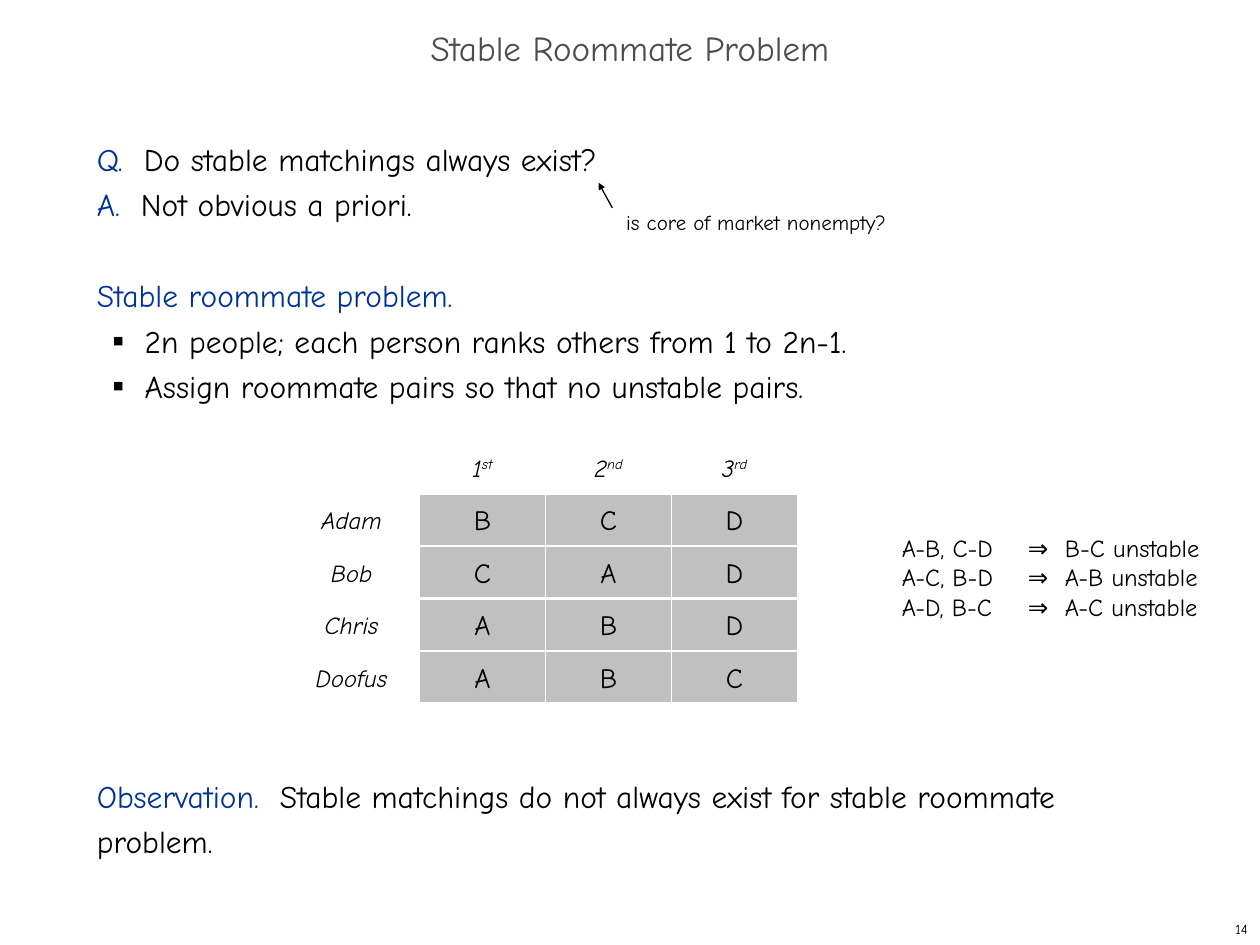
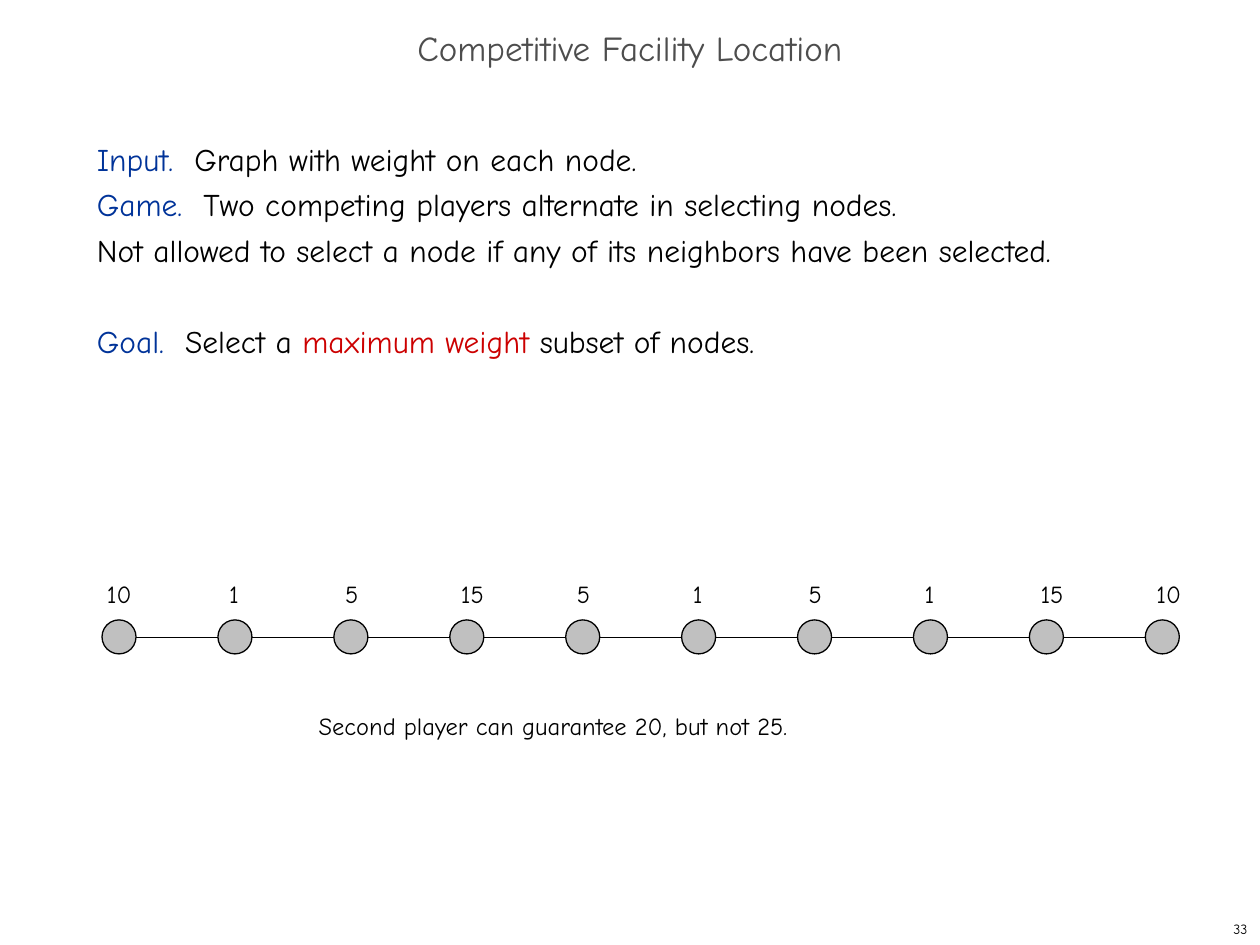
from lxml import etree
from pptx import Presentation
from pptx.dml.color import RGBColor
from pptx.enum.shapes import MSO_CONNECTOR, MSO_SHAPE
from pptx.enum.text import MSO_ANCHOR, MSO_AUTO_SIZE, PP_ALIGN
from pptx.oxml.ns import qn
from pptx.util import Inches, Pt

LEFT, MID, RIGHT = PP_ALIGN.LEFT, PP_ALIGN.CENTER, PP_ALIGN.RIGHT
TOP, CENTER = MSO_ANCHOR.TOP, MSO_ANCHOR.MIDDLE
FIXED = MSO_AUTO_SIZE.NONE
OVAL, RECT = MSO_SHAPE.OVAL, MSO_SHAPE.RECTANGLE
STRAIGHT = MSO_CONNECTOR.STRAIGHT

FONT = "Comic Neue"
BLACK, WHITE, GRAY, SLATE = "000000", "FFFFFF", "C0C0C0", "4D4D4D"
BLUE, RED = "003399", "CC0000"
LEAD = 26

RANKS = [("1", "st"), ("2", "nd"), ("3", "rd")]
PREFS = [("Adam", "BCD"), ("Bob", "CAD"), ("Chris", "ABD"), ("Doofus", "ABC")]
CASES = ("A-B, C-D\t⇒  B-C unstable\n"
         "A-C, B-D\t⇒  A-B unstable\n"
         "A-D, B-C\t⇒  A-C unstable")
WEIGHTS = [10, 1, 5, 15, 5, 1, 5, 1, 15, 10]


def color(code):
    """Turn a hex string into a colour."""
    return RGBColor.from_string(code)


def node(parent, tag, **attrs):
    """Append a drawing element with its attributes."""
    return etree.SubElement(parent, qn(tag), attrs)


def write(para, parts, size, align=LEFT, italic=False):
    """Fill a paragraph with runs, each a string or a (text, colour) pair."""
    para.alignment = align
    font = para.font
    font.name, font.size, font.italic = FONT, Pt(size), italic
    font.color.rgb = color(BLACK)
    for part in parts:
        text, hue = (part, BLACK) if isinstance(part, str) else part
        for i, line in enumerate(text.split("\n")):
            if i:
                para.add_line_break()
            run = para.add_run()
            run.text = line
            run.font.color.rgb = color(hue)


def bullet(para):
    """Give a paragraph a small square bullet and a hanging indent."""
    props = para._p.get_or_add_pPr()
    props.set("marL", str(Inches(0.38)))
    props.set("indent", str(Inches(-0.25)))
    node(node(props, "a:buClr"), "a:srgbClr", val=BLACK)
    node(props, "a:buSzPct", val="35000")
    node(props, "a:buFont", typeface=FONT)
    node(props, "a:buChar", char="■")


def frame(slide, left, top, width, height, anchor=TOP):
    """Add an empty wrapping text box and return its text frame."""
    box = slide.shapes.add_textbox(*map(Inches, (left, top, width, height)))
    text = box.text_frame
    text.word_wrap = True
    text.vertical_anchor = anchor
    return text


def label(slide, spot, words, size, align=LEFT, anchor=TOP):
    """Add plain text at a spot."""
    text = frame(slide, *spot, anchor=anchor)
    write(text.paragraphs[0], [words], size, align)
    return text


def body(slide, rows):
    """Add body text from rows of (parts, bulleted, lines of space before)."""
    text = frame(slide, 0.67, 1, 8.58, 5.92)
    for i, (parts, dot, gap) in enumerate(rows):
        para = text.add_paragraph() if i else text.paragraphs[0]
        para.line_spacing = Pt(LEAD)
        para.space_before = Pt(gap * LEAD)
        if dot:
            bullet(para)
        write(para, parts, 18)


def start(deck, title, page):
    """Add a slide with its title and page number."""
    slide = deck.slides.add_slide(deck.slide_layouts[5])
    head = slide.shapes.title
    head.left, head.top = Inches(0), Inches(0.17)
    head.width, head.height = Inches(10), Inches(0.5)
    text = head.text_frame
    text.auto_size = FIXED
    text.vertical_anchor = CENTER
    para = text.paragraphs[0]
    para.line_spacing = 0.7
    write(para, [(title, SLATE)], 20, MID)
    label(slide, (7.92, 7.25, 2.08, 0.25), str(page), 8, RIGHT, CENTER)
    return slide


def link(slide, x1, y1, x2, y2, arrow=False):
    """Draw a thin black line, with an arrowhead at its end if asked."""
    line = slide.shapes.add_connector(
        STRAIGHT, *map(Inches, (x1, y1, x2, y2)))
    line.line.color.rgb = color(BLACK)
    line.line.width = Pt(0.75)
    if arrow:
        node(line.line._get_or_add_ln(), "a:tailEnd",
             type="triangle", w="sm", len="sm")
    node(line._element.spPr, "a:effectLst")


def shape(slide, kind, spot, fill, edge):
    """Add a thinly outlined shape, hollow when fill is None."""
    form = slide.shapes.add_shape(kind, *map(Inches, spot))
    form.shadow.inherit = False
    if fill:
        form.fill.solid()
        form.fill.fore_color.rgb = color(fill)
    else:
        form.fill.background()
    form.line.color.rgb = color(edge)
    form.line.width = Pt(0.75)
    return form


def tile(slide, spot, word, size, fill=None, italic=False):
    """Add a white-edged box with a centred word."""
    text = shape(slide, RECT, spot, fill, WHITE).text_frame
    text.word_wrap = False
    text.vertical_anchor = CENTER
    write(text.paragraphs[0], [word], size, MID, italic)


def prefs(slide):
    """Lay out the grid of roommate preferences."""
    left, top, step, high = 3.33, 3.92, 1.25 / 3, 0.41
    for r, (name, picks) in enumerate(PREFS):
        y = top + r * step
        tile(slide, (2.25, y, 1.08, high), name, 14, italic=True)
        for c, pick in enumerate(picks):
            tile(slide, (left + c, y, 1, high), pick, 16, GRAY)
    for c, rank in enumerate(RANKS):
        text = frame(slide, left + c, 3.5, 1, 0.42, CENTER)
        para = text.paragraphs[0]
        write(para, rank, 14, MID, True)
        para.runs[1]._r.get_or_add_rPr().set("baseline", "30000")


def chain(slide):
    """Draw the row of weighted nodes joined by lines."""
    size, step, top, mid = 0.27, 0.92, 4.92, 5.06
    for i, weight in enumerate(WEIGHTS):
        x = 0.81 + i * step
        shape(slide, OVAL, (x, top, size, size), GRAY, BLACK)
        if i:
            link(slide, x - step + size, mid, x, mid)
        nudge = 0.01 if i else 0.06
        wide = 0.41 if weight > 9 else 0.32
        label(slide, (x - nudge, 4.55, wide, 0.33), str(weight), 14)


def roommate(deck):
    """Build the stable roommate slide."""
    slide = start(deck, "Stable Roommate Problem", 14)
    body(slide, [
        ([("Q.  ", BLUE), "Do stable matchings always exist?"], False, 0),
        ([("A.  ", BLUE), "Not obvious a priori."], False, 0),
        ([("Stable roommate problem.", BLUE)], False, 1),
        (["2n people; each person ranks others from 1 to 2n-1."], True, 0),
        (["Assign roommate pairs so that no unstable pairs."], True, 0),
        ([("Observation.  ", BLUE), "Stable matchings do not always exist "
          "for stable roommate problem."], False, 8)])
    prefs(slide)
    label(slide, (7.06, 4.18, 2.68, 0.8), CASES, 14)
    note = label(slide, (4.97, 1.66, 2.22, 0.2),
                 "is core of market nonempty?", 12)
    note.margin_left = note.margin_right = 0
    note.margin_top = note.margin_bottom = 0
    link(slide, 4.86, 1.65, 4.75, 1.45, arrow=True)


def facility(deck):
    """Build the competitive facility slide."""
    slide = start(deck, "Competitive Facility Location", 33)
    body(slide, [
        ([("Input.  ", BLUE), "Graph with weight on each node."], False, 0),
        ([("Game.  ", BLUE),
          "Two competing players alternate in selecting nodes.\n"
          "Not allowed to select a node if any of its neighbors "
          "have been selected."], False, 0),
        ([("Goal.  ", BLUE), "Select a ", ("maximum weight", RED),
          " subset of nodes."], False, 1)])
    chain(slide)
    label(slide, (2.43, 5.59, 4.21, 0.33),
          "Second player can guarantee 20, but not 25.", 14)


def main():
    """Build and save the deck."""
    deck = Presentation()
    deck.slide_width, deck.slide_height = Inches(10), Inches(7.5)
    roommate(deck)
    facility(deck)
    deck.save("out.pptx")


if __name__ == "__main__":
    main()
